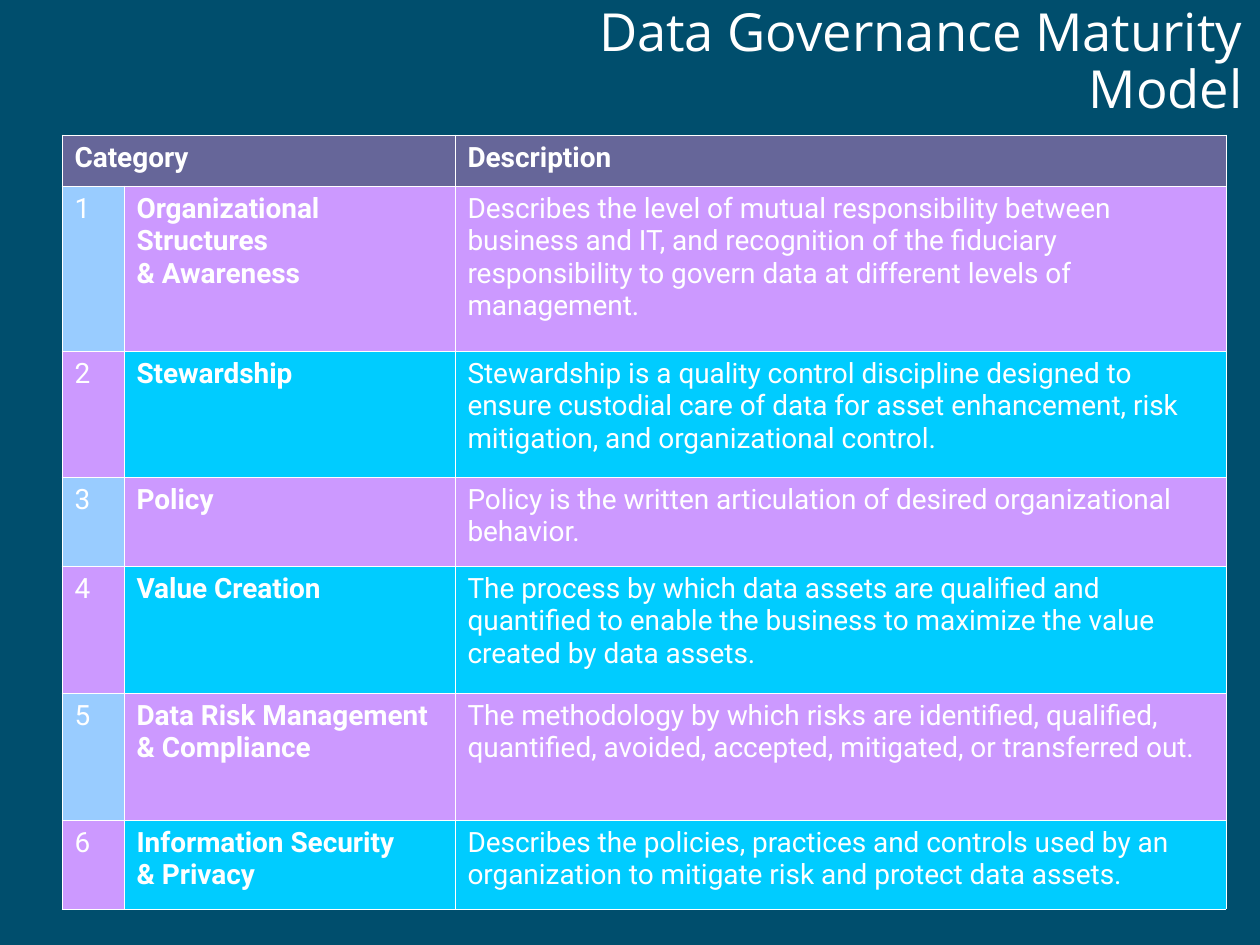
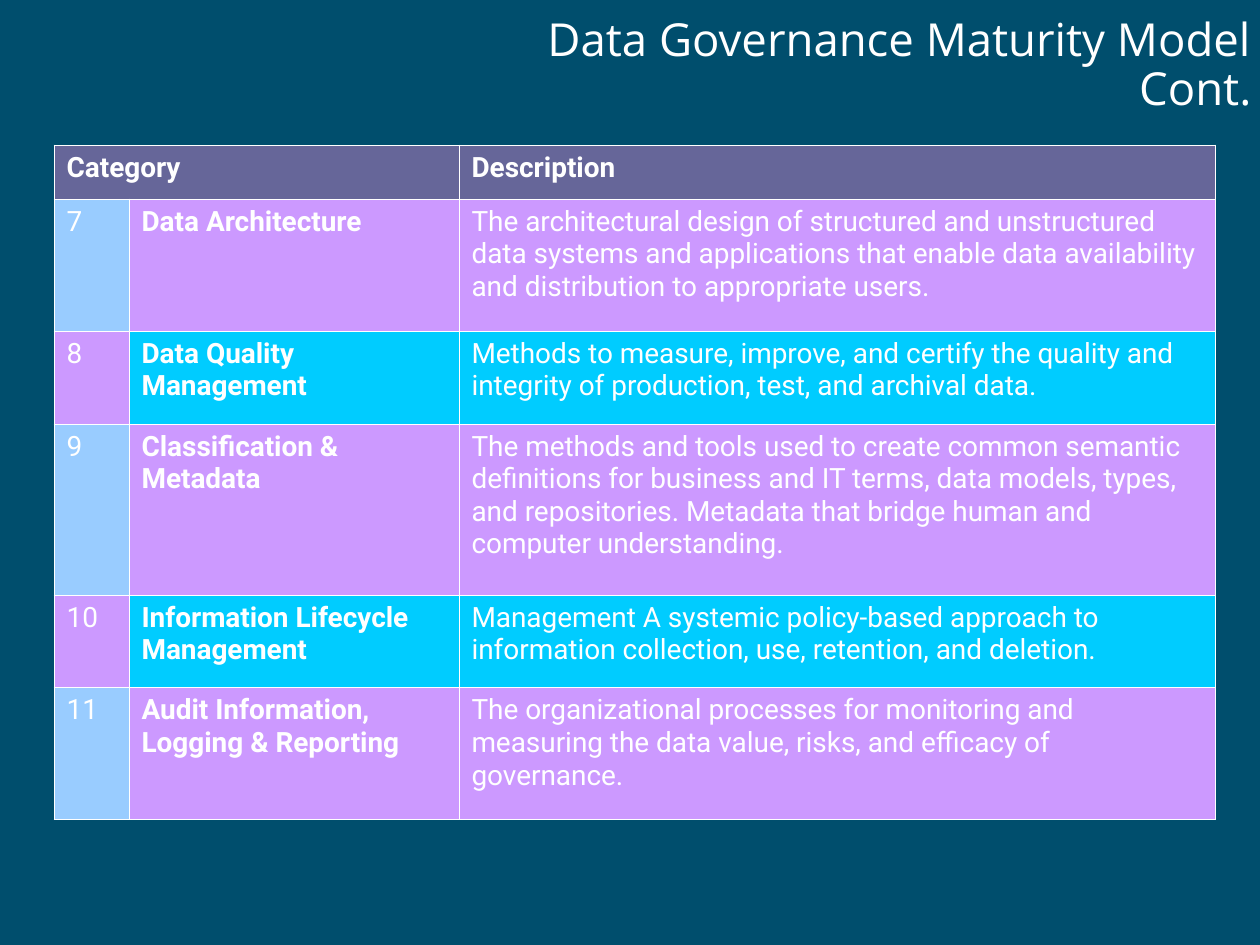
from dataclasses import dataclass

from lxml.etree import SubElement as Sub
from pptx import Presentation
from pptx.dml.color import RGBColor as Rgb
from pptx.enum.text import MSO_ANCHOR as Anchor, PP_ALIGN as Align
from pptx.oxml.ns import qn
from pptx.util import Emu, Pt

SCALE = 914400 / 126


@dataclass(frozen=True)
class Theme:
    back: str = "004E6D"
    ink: str = "FFFFFF"
    head: str = "666699"
    odd: tuple = ("99CCFF", "CC99FF", "CC99FF")
    even: tuple = ("CC99FF", "00CCFF", "00CCFF")
    title: str = "Open Sans"
    body: str = "Roboto"
    size: int = 16
    rule: float = 0.45


THEME = Theme()

FIRST = [
    ("Organizational Structures\n& Awareness",
     "Describes the level of mutual responsibility between business and IT, and recognition "
     "of the fiduciary responsibility to govern data at different levels of management."),
    ("Stewardship",
     "Stewardship is a quality control discipline designed to ensure custodial care of data "
     "for asset enhancement, risk mitigation, and organizational control."),
    ("Policy",
     "Policy is the written articulation of desired organizational behavior."),
    ("Value Creation",
     "The process by which data assets are qualified and quantified to enable the business "
     "to maximize the value created by data assets."),
    ("Data Risk Management\n& Compliance",
     "The methodology by which risks are identified, qualified, quantified, avoided, "
     "accepted, mitigated, or transferred out."),
    ("Information Security\n& Privacy",
     "Describes the policies, practices and controls used by an organization to mitigate "
     "risk and protect data assets."),
]

SECOND = [
    ("Data Architecture",
     "The architectural design of structured and unstructured data systems and applications "
     "that enable data availability and distribution to appropriate users."),
    ("Data Quality Management",
     "Methods to measure, improve, and certify the quality and integrity of production, "
     "test, and archival data."),
    ("Classification & Metadata",
     "The methods and tools used to create common semantic definitions for business and IT "
     "terms, data models, types, and repositories. Metadata that bridge human and computer "
     "understanding."),
    ("Information Lifecycle Management",
     "Management A systemic policy-based approach to information collection, use, "
     "retention, and deletion."),
    ("Audit Information,\nLogging & Reporting",
     "The organizational processes for monitoring and measuring the data value, risks, and "
     "efficacy of governance."),
]


def px(num):
    return Emu(round(num * SCALE))


def paint(fill, color):
    fill.solid()
    fill.fore_color.rgb = Rgb.from_string(color)


def style(frame, **form):
    """Apply font values to every paragraph of a text frame."""
    for para in frame.paragraphs:
        for key, val in form.items():
            setattr(para.font, key, val)
        para.font.color.rgb = Rgb.from_string(THEME.ink)


def add_page(deck):
    page = deck.slides.add_slide(deck.slide_layouts[6])
    paint(page.background.fill, THEME.back)
    return page


def add_title(page, text, box, size):
    frame = page.shapes.add_textbox(*map(px, box)).text_frame
    frame.word_wrap = True
    frame.vertical_anchor = Anchor.MIDDLE
    frame.text = text
    para = frame.paragraphs[0]
    para.alignment = Align.RIGHT
    para.line_spacing = 0.9
    style(frame, name=THEME.title, size=Pt(size))


def edge(cell):
    """Rule all four sides of a cell; borders must come before its fill."""
    props = cell._tc.get_or_add_tcPr()
    for side in ("lnL", "lnR", "lnT", "lnB"):
        line = Sub(props, qn(f"a:{side}"), w=str(Pt(THEME.rule)))
        Sub(Sub(line, qn("a:solidFill")), qn("a:srgbClr"), val=THEME.ink)


def fill_cell(cell, text, color, bold):
    edge(cell)
    paint(cell.fill, color)
    cell.text = text
    style(cell.text_frame, name=THEME.body, size=Pt(THEME.size), bold=bold)


def add_grid(page, spot, cols, rows, items, start):
    """Draw the category table, numbering its items from start."""
    shape = page.shapes.add_table(len(rows), len(cols), *map(px, (*spot, sum(cols), sum(rows))))
    grid = shape.table
    grid.first_row = grid.horz_banding = False
    for col, width in zip(grid.columns, cols):
        col.width = px(width)
    for row, height in zip(grid.rows, rows):
        row.height = px(height)
    for col, text in enumerate(("Category", "", "Description")):
        fill_cell(grid.cell(0, col), text, THEME.head, True)
    grid.cell(0, 0).merge(grid.cell(0, 1))
    for row, (name, about) in enumerate(items, 1):
        band = THEME.odd if row % 2 else THEME.even
        texts = (str(start + row - 1), name, about)
        for col, (text, color) in enumerate(zip(texts, band)):
            fill_cell(grid.cell(row, col), text, color, col == 1)


def main():
    deck = Presentation()
    deck.slide_width, deck.slide_height = px(1260), px(945)

    page = add_page(deck)
    add_title(page, "Data Governance Maturity Model", (457, 10, 798, 106), 30)
    add_grid(page, (62, 135), (62, 331, 771), (51, 165, 126, 89, 127, 127, 89), FIRST, 1)

    page = add_page(deck)
    add_title(page, "Data Governance Maturity Model Cont.", (421, 16, 843, 100), 26)
    add_grid(page, (54, 145), (75, 330, 756), (54, 132, 93, 171, 93, 132), SECOND, len(FIRST) + 1)

    deck.save("out.pptx")


if __name__ == "__main__":
    main()
